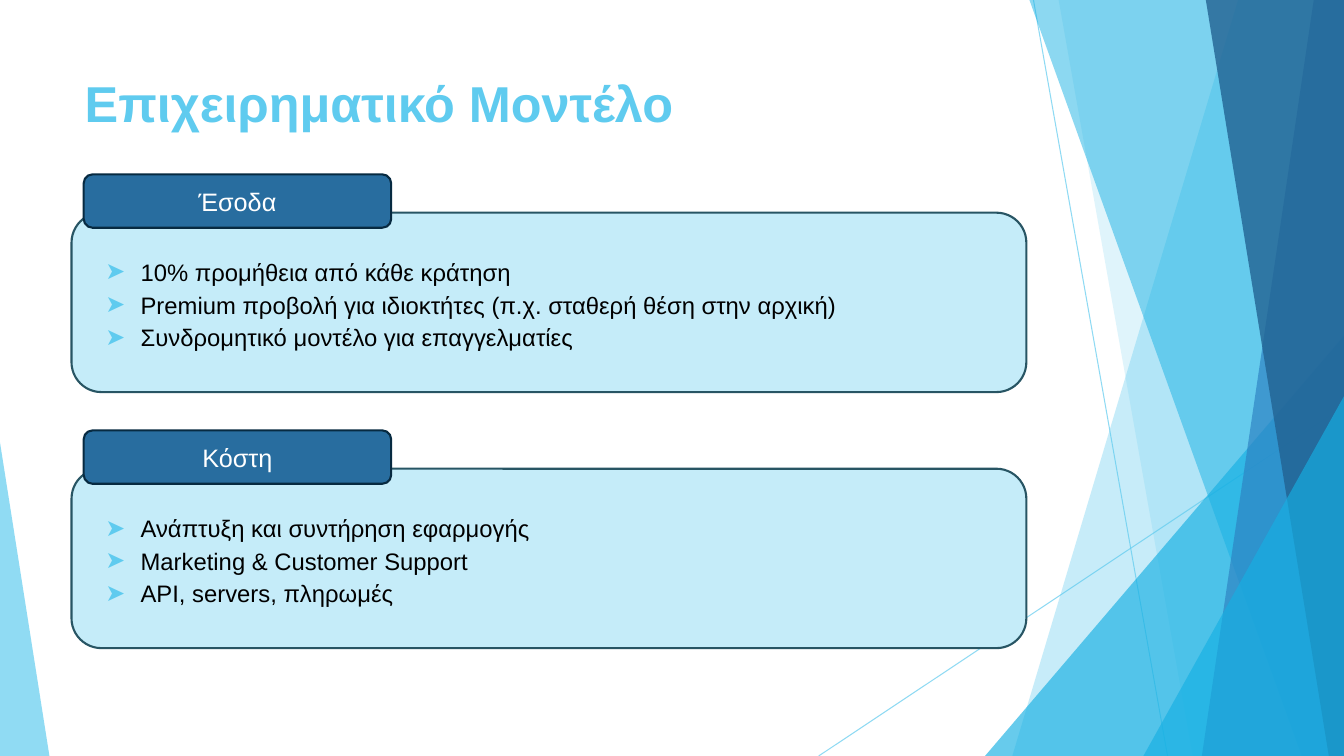
import dataclasses
import typing

import pptx
import pptx.dml.color
import pptx.enum.shapes
import pptx.enum.text
import pptx.oxml
import pptx.oxml.ns
import pptx.util

RGB = pptx.dml.color.RGBColor
SHAPE = pptx.enum.shapes.MSO_SHAPE
ALIGN = pptx.enum.text.PP_ALIGN
ANCHOR = pptx.enum.text.MSO_ANCHOR
qn = pptx.oxml.ns.qn

PX = 9144
WIDTH, HEIGHT = 1333, 750
FONT = "Arial"
SKY = RGB(0x5F, 0xCB, 0xEF)
CYAN = RGB(0x16, 0xB0, 0xE3)
BLUE = RGB(0x2E, 0x83, 0xC3)
NAVY = RGB(0x22, 0x62, 0x92)
PANEL_FILL = RGB(0xC5, 0xEC, 0xF9)
PANEL_LINE = RGB(0x28, 0x55, 0x64)
TAB_FILL = RGB(0x28, 0x6D, 0x9F)
TAB_LINE = RGB(0x07, 0x2A, 0x41)
BLACK = RGB(0, 0, 0)
WHITE = RGB(0xFF, 0xFF, 0xFF)


@dataclasses.dataclass
class Ray:
    start: tuple[int, int]
    end: tuple[int, int]


@dataclasses.dataclass
class Band:
    top_x: int
    bottom_x: int
    color: RGB
    opacity: int


@dataclasses.dataclass
class Wedge:
    box: tuple[int, int, int, int]
    apex: int
    color: RGB
    opacity: int


@dataclasses.dataclass
class Section:
    heading: str
    items: list[str]


RAYS = [Ray((1025, 0), (1158, HEIGHT)), Ray((WIDTH, 403), (812, HEIGHT))]
FACETS = [
    Band(1228, 1004, SKY, 35),
    Band(1050, 1183, SKY, 20),
    Wedge((977, 333, 356, 417), 1, CYAN, 65),
    Band(1021, 1291, CYAN, 49),
    Band(1303, 1192, BLUE, 69),
    Band(1196, 1318, NAVY, 80),
    Wedge((1134, 393, 199, 357), 1, CYAN, 65),
    Wedge((0, 439, 49, 311), 0, SKY, 69),
]
SECTIONS = [
    Section("Έσοδα", [
        "10% προμήθεια από κάθε κράτηση",
        "Premium προβολή για ιδιοκτήτες (π.χ. σταθερή θέση στην αρχική)",
        "Συνδρομητικό μοντέλο για επαγγελματίες",
    ]),
    Section("Κόστη", [
        "Ανάπτυξη και συντήρηση εφαρμογής",
        "Marketing & Customer Support",
        "API, servers, πληρωμές",
    ]),
]
SECTION_TOP, SECTION_STEP = 173, 254


def emu(*lengths: int) -> list[int]:
    return [length * PX for length in lengths]


def set_opacity(sp: typing.Any, percent: int) -> None:
    for color in sp._element.spPr.iter(qn("a:srgbClr")):
        pptx.oxml.parse_xml(
            f'<a:alpha {pptx.oxml.ns.nsdecls("a")} val="{percent * 1000}"/>'
        )
        color.append(pptx.oxml.parse_xml(
            f'<a:alpha {pptx.oxml.ns.nsdecls("a")} val="{percent * 1000}"/>'
        ))


def add_bullet(p: typing.Any) -> None:
    pPr = p._p.get_or_add_pPr()
    pPr.set("marL", str(50 * PX))
    pPr.set("indent", str(-35 * PX))
    ns = pptx.oxml.ns.nsdecls("a")
    for xml in (
        f'<a:buClr {ns}><a:srgbClr val="{SKY}"/></a:buClr>',
        f'<a:buFont {ns} typeface="{FONT}"/>',
        f'<a:buChar {ns} char="➤"/>',
    ):
        pPr.append(pptx.oxml.parse_xml(xml))


def write(sp: typing.Any, lines: list[str], *, size: int, color: RGB,
          bold: bool = False, align: ALIGN = ALIGN.LEFT,
          anchor: ANCHOR = ANCHOR.MIDDLE, bullets: bool = False) -> None:
    tf = sp.text_frame
    tf.word_wrap = True
    tf.auto_size = pptx.enum.text.MSO_AUTO_SIZE.NONE
    tf.vertical_anchor = anchor
    for i, line in enumerate(lines):
        p = tf.add_paragraph() if i else tf.paragraphs[0]
        p.alignment = align
        if bullets:
            p.line_spacing = 1.15
            add_bullet(p)
        r = p.add_run()
        r.text = line
        r.font.name = FONT
        r.font.size = pptx.util.Pt(size)
        r.font.bold = bold
        r.font.color.rgb = color


def draw_ray(s: typing.Any, ray: Ray) -> None:
    c = s.shapes.add_connector(pptx.enum.shapes.MSO_CONNECTOR.STRAIGHT,
                               *emu(*ray.start, *ray.end))
    c.line.color.rgb = SKY
    c.line.width = pptx.util.Pt(0.75)
    set_opacity(c, 69)
    c._element.spPr.append(pptx.oxml.parse_xml(
        f'<a:effectLst {pptx.oxml.ns.nsdecls("a")}/>'))


def draw_facet(s: typing.Any, facet: Band | Wedge) -> None:
    if isinstance(facet, Band):
        builder = s.shapes.build_freeform(facet.top_x, 0, scale=PX)
        builder.add_line_segments(
            [(WIDTH, 0), (WIDTH, HEIGHT), (facet.bottom_x, HEIGHT)], close=True)
        sp = builder.convert_to_shape()
    else:
        sp = s.shapes.add_shape(SHAPE.ISOSCELES_TRIANGLE, *emu(*facet.box))
        sp.adjustments[0] = facet.apex
    sp.shadow.inherit = False
    sp.fill.solid()
    sp.fill.fore_color.rgb = facet.color
    sp.line.fill.background()
    set_opacity(sp, facet.opacity)


def draw_card(s: typing.Any, box: tuple[int, int, int, int],
              fill: RGB, line: RGB) -> typing.Any:
    sp = s.shapes.add_shape(SHAPE.ROUNDED_RECTANGLE, *emu(*box))
    sp.shadow.inherit = False
    sp.fill.solid()
    sp.fill.fore_color.rgb = fill
    sp.line.color.rgb = line
    sp.line.width = pptx.util.Pt(1.5)
    return sp


def draw_section(s: typing.Any, section: Section, top: int) -> None:
    panel = draw_card(s, (71, top + 38, 947, 178), PANEL_FILL, PANEL_LINE)
    write(panel, section.items, size=17, color=BLACK, bullets=True)
    tab = draw_card(s, (83, top, 305, 53), TAB_FILL, TAB_LINE)
    write(tab, [section.heading], size=18, color=WHITE, align=ALIGN.CENTER)


def main() -> None:
    prs = pptx.Presentation()
    prs.slide_width, prs.slide_height = emu(WIDTH, HEIGHT)
    s = prs.slides.add_slide(prs.slide_layouts[5])
    for ray in RAYS:
        draw_ray(s, ray)
    for facet in FACETS:
        draw_facet(s, facet)
    title = s.shapes.title
    title.left, title.top, title.width, title.height = emu(74, 67, 940, 144)
    write(title, ["Επιχειρηματικό Μοντέλο"], size=36, color=SKY, bold=True,
          anchor=ANCHOR.TOP)
    s.shapes._spTree.append(title._element)
    for i, section in enumerate(SECTIONS):
        draw_section(s, section, SECTION_TOP + i * SECTION_STEP)
    prs.save("out.pptx")


if __name__ == "__main__":
    main()
